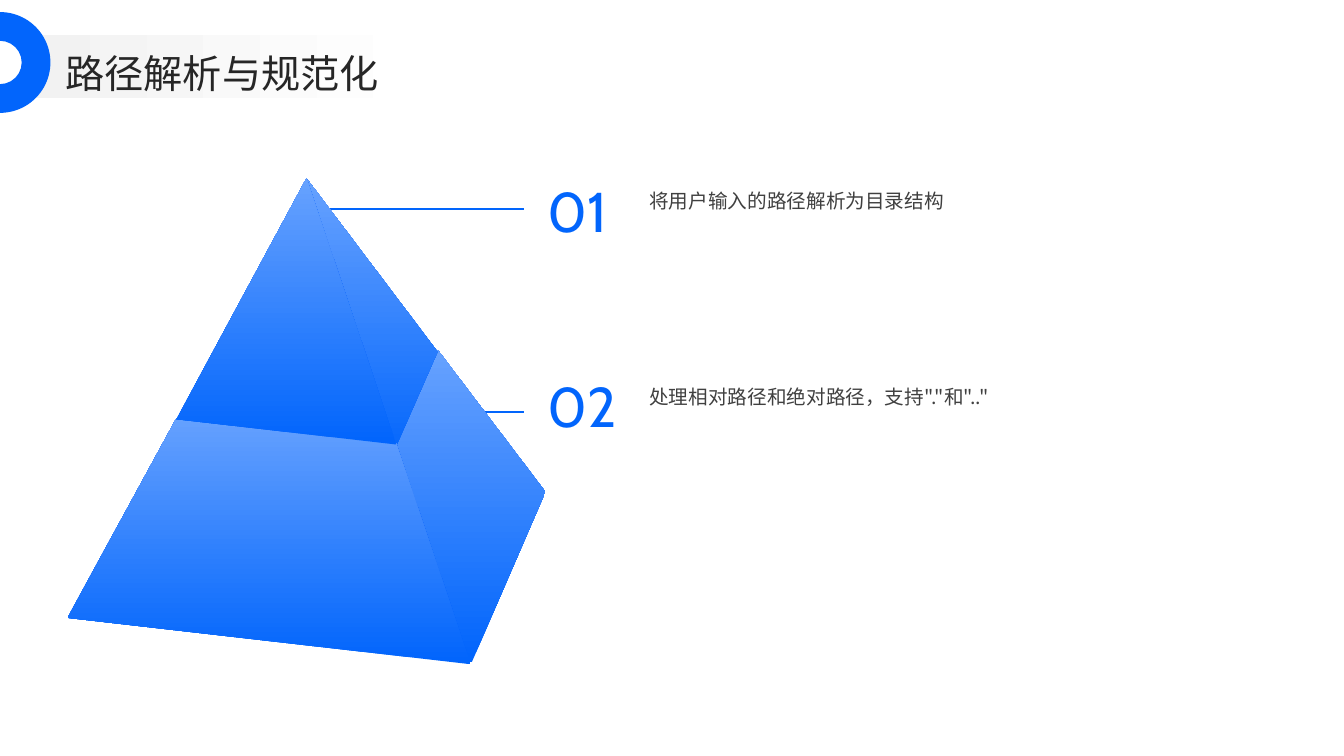
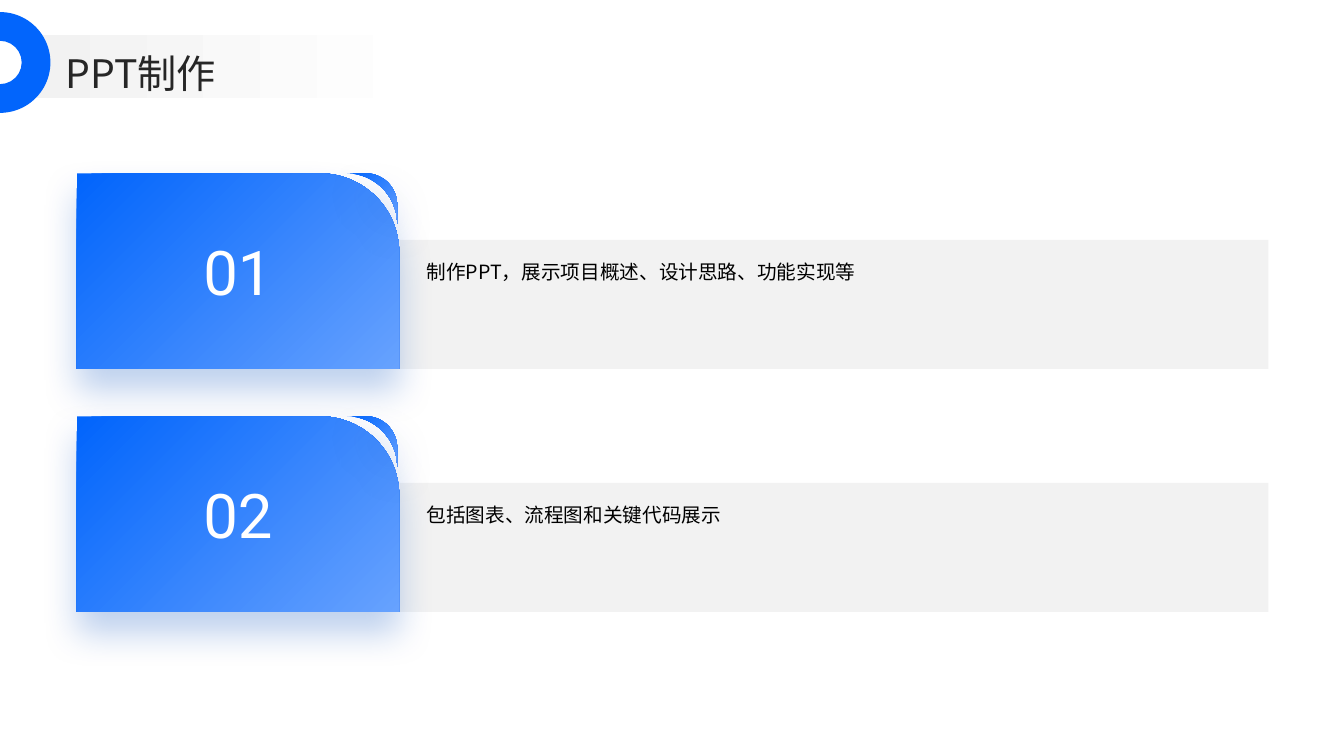
from dataclasses import dataclass
from lxml.etree import SubElement
from pptx import Presentation
from pptx.dml.color import RGBColor
from pptx.enum.shapes import MSO_CONNECTOR, MSO_SHAPE
from pptx.enum.text import MSO_ANCHOR, PP_ALIGN
from pptx.oxml.ns import qn
from pptx.util import Inches, Pt


@dataclass(frozen=True)
class Theme:
    blue: str = "0265FC"
    light_blue: str = "67A2FE"
    shadow: str = "014CBD"
    pale: str = "F2F2F2"
    white: str = "FFFFFF"
    heading: str = "262626"
    body: str = "404040"
    black: str = "000000"
    cjk: str = "Noto Sans CJK SC"
    step_font: str = "Cabin"
    card_font: str = "Roboto"
    heading_size: int = 28
    body_size: int = 14
    step_size: int = 40
    card_size: int = 44
    line_width: float = 1.5
    cell: float = 0.25

    @property
    def blues(self):
        return (1, self.blue), (100, self.light_blue)

    @property
    def fade(self):
        return (0, self.pale), (80, self.white)


def curve(start, control_a, control_b, end, steps=16):
    points = []
    for step in range(1, steps + 1):
        t = step / steps
        weights = ((1 - t) ** 3, 3 * t * (1 - t) ** 2, 3 * t * t * (1 - t), t ** 3)
        points.append(tuple(
            sum(w * p[axis] for w, p in zip(weights, (start, control_a, control_b, end)))
            for axis in (0, 1)
        ))
    return points


class Deck:
    def __init__(self, theme):
        self.theme = theme
        self.presentation = Presentation()
        self.presentation.slide_width = Inches(13.33)
        self.presentation.slide_height = Inches(7.5)
        self.slide = None

    def grid(self, *cells):
        return [Inches(cell * self.theme.cell) for cell in cells]

    def new_slide(self, heading):
        theme = self.theme
        self.slide = self.presentation.slides.add_slide(self.presentation.slide_layouts[6])
        self.shape(MSO_SHAPE.RECTANGLE, (1.32, 1.4, 19.68, 2.48), stops=theme.fade)
        self.text((2.6, 1.76, 47.52, 2.04), heading, theme.heading_size, theme.cjk,
                  theme.heading, spacing=1.1, anchor=MSO_ANCHOR.MIDDLE)
        ring = self.shape(MSO_SHAPE.BLOCK_ARC, (-2, 0.48, 4, 4), color=theme.blue,
                          adjustments=(108, 0, 0.285))
        ring.rotation = 90

    def paint(self, shape, color=None, stops=None, angle=0, shadow=False):
        if stops:
            shape.fill.gradient()
            shape.fill.gradient_angle = (360 - angle) % 360
            for stop, (position, stop_color) in zip(shape.fill.gradient_stops, stops):
                stop.position = position / 100
                stop.color.rgb = RGBColor.from_string(stop_color)
        else:
            shape.fill.solid()
            shape.fill.fore_color.rgb = RGBColor.from_string(color)
        shape.line.fill.background()
        shape.shadow.inherit = False
        if shadow:
            effects = shape._element.spPr.find(qn("a:effectLst"))
            outer = SubElement(effects, qn("a:outerShdw"), blurRad=str(Pt(26)),
                               dist=str(Pt(15)), dir="5400000", algn="t", rotWithShape="0")
            tone = SubElement(outer, qn("a:srgbClr"), val=self.theme.shadow)
            SubElement(tone, qn("a:alpha"), val="25000")
        return shape

    def shape(self, preset, box, adjustments=(), **look):
        shape = self.slide.shapes.add_shape(preset, *self.grid(*box))
        for index, value in enumerate(adjustments):
            shape.adjustments[index] = value
        return self.paint(shape, **look)

    def outline(self, points, **look):
        start, *others = [self.grid(*point) for point in points]
        builder = self.slide.shapes.build_freeform(*start)
        builder.add_line_segments(others, close=True)
        return self.paint(builder.convert_to_shape(), **look)

    def rule(self, left, right, row):
        line = self.slide.shapes.add_connector(
            MSO_CONNECTOR.STRAIGHT, *self.grid(left, row, right, row))
        line.line.color.rgb = RGBColor.from_string(self.theme.blue)
        line.line.width = Pt(self.theme.line_width)
        SubElement(line._element.spPr, qn("a:effectLst"))

    def text(self, box, words, size, font, color, spacing=None,
             anchor=MSO_ANCHOR.TOP, align=PP_ALIGN.LEFT, insets=(0, 0)):
        frame = self.slide.shapes.add_textbox(*self.grid(*box)).text_frame
        frame.word_wrap = True
        frame.vertical_anchor = anchor
        frame.margin_left = frame.margin_right = Inches(insets[0])
        frame.margin_top = frame.margin_bottom = Inches(insets[1])
        paragraph = frame.paragraphs[0]
        paragraph.alignment = align
        if spacing:
            paragraph.line_spacing = spacing
        run = paragraph.add_run()
        run.text = words
        run.font.size = Pt(size)
        run.font.color.rgb = RGBColor.from_string(color)
        run.font.name = font
        SubElement(run._r.get_or_add_rPr(), qn("a:ea"), typeface=font)

    def body(self, box, words, color):
        self.text(box, words, self.theme.body_size, self.theme.cjk, color, spacing=1.5)

    def step(self, number, words, rule_left, rule_row):
        theme = self.theme
        top = 7.04 + (number - 1) * 7.76
        self.rule(rule_left, 20.8, rule_row)
        self.text((21.44, top, 3.68, 2.56), f"{number:02}", theme.step_size, theme.step_font,
                  theme.blue, anchor=MSO_ANCHOR.MIDDLE, insets=(0.07, 0.04))
        self.body((25.76, top, 23.72, 7.24), words, theme.body)

    def card(self, number, words):
        theme = self.theme
        top = 6.88 + (number - 1) * 9.64
        look = dict(stops=theme.blues, angle=45, shadow=True)
        self.shape(MSO_SHAPE.RECTANGLE, (15.84, top + 2.64, 34.48, 5.12), color=theme.pale)
        self.shape(MSO_SHAPE.ROUND_1_RECTANGLE, (3.04, top, 12.8, 7.76),
                   adjustments=(0.405,), **look)
        corner = [(0, 0), (0.76, 0),
                  *curve((0.76, 0), (1.44, 0), (2, 0.56), (2, 1.28)), (2, 2),
                  *curve((2, 2), (2, 0.9), (1.1, 0), (0, 0))]
        self.outline([(13.76 + x, top + y) for x, y in corner], **look)
        self.text((3.6, top + 1.24, 11.68, 5.24), f"{number:02}", theme.card_size,
                  theme.card_font, theme.white, anchor=MSO_ANCHOR.MIDDLE,
                  align=PP_ALIGN.CENTER)
        self.body((16.92, top + 2.98, 32.32, 3.96), words, theme.black)


def main():
    deck = Deck(Theme())

    deck.new_slide("路径解析与规范化")
    deck.step(1, "将用户输入的路径解析为目录结构", 12.76, 8.28)
    deck.step(2, "处理相对路径和绝对路径，支持\".\"和\"..\"", 17.48, 16.36)
    apex = (12.16, 7.08)
    left_seam = (7, 16.64)
    front_seam = (15.72, 17.64)
    lower_right = [(17.36, 13.88), (21.64, 19.52), (18.72, 26.28), (18.2, 26.24),
                   (15.96, 20.36), (15.4, 18.36), (16.28, 15.52)]
    upper_right = [(17.36, 13.96), (15.4, 18.44), apex]
    lower_left = [(11.36, 16.36), (15.72, 17.6), (18.68, 26.36), (2.68, 24.52), (7, 16.6)]
    upper_left = [front_seam, left_seam, apex]
    for face in (lower_right, upper_right, lower_left, upper_left):
        deck.outline(face, stops=deck.theme.blues, angle=270)

    deck.new_slide("PPT制作")
    for number, words in enumerate(("制作PPT，展示项目概述、设计思路、功能实现等",
                                    "包括图表、流程图和关键代码展示"), 1):
        deck.card(number, words)

    deck.presentation.save("out.pptx")


if __name__ == "__main__":
    main()
